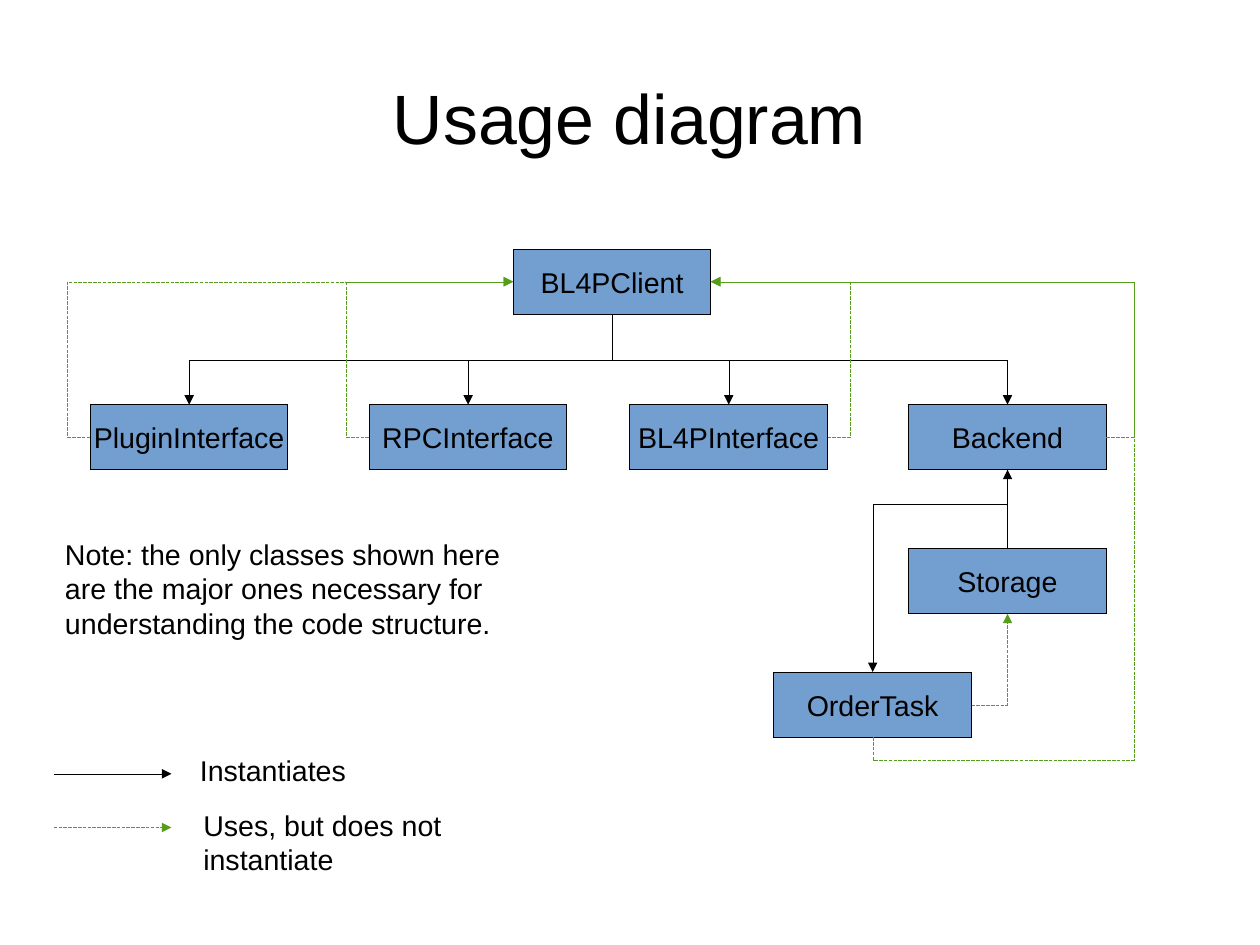
from lxml.etree import SubElement
from pptx import Presentation
from pptx.dml.color import RGBColor
from pptx.enum.dml import MSO_LINE
from pptx.enum.shapes import MSO_CONNECTOR, MSO_SHAPE
from pptx.enum.text import MSO_ANCHOR, MSO_AUTO_SIZE, PP_ALIGN
from pptx.oxml.ns import qn
from pptx.util import Inches, Pt

PAGE_SIZE = (28 / 2.54, 21 / 2.54)  # 28 by 21 cm
TITLE = "Usage diagram"
NOTE = ("Note: the only classes shown here are the major ones necessary "
        "for understanding the code structure.")
BOX_WIDTH, BOX_HEIGHT = 1.73, 0.57
ROW_TOP = 3.54
CLASSES = {  # name: (left, top)
    "BL4PClient": (4.49, 2.18),
    "PluginInterface": (0.79, ROW_TOP),
    "RPCInterface": (3.23, ROW_TOP),
    "BL4PInterface": (5.51, ROW_TOP),
    "Backend": (7.95, ROW_TOP),
    "OrderTask": (6.77, 5.88),
    "Storage": (7.95, 4.8),
}
BLACK, GREEN, BLUE = "000000", "579D1C", "729FCF"
STYLES = {"instantiates": (BLACK, MSO_LINE.SOLID),
          "uses": (GREEN, MSO_LINE.SQUARE_DOT)}
SIDES = {"left": (0, 0.5), "right": (1, 0.5), "top": (0.5, 0), "bottom": (0.5, 1)}
TRUNK_Y, RIGHT_RAIL = 3.15, 9.92
# style, from class, side, to class, side, positions of the middle segments
ARROWS = [
    ("instantiates", "BL4PClient", "bottom", "PluginInterface", "top", [TRUNK_Y]),
    ("instantiates", "BL4PClient", "bottom", "RPCInterface", "top", [TRUNK_Y]),
    ("instantiates", "BL4PClient", "bottom", "BL4PInterface", "top", [TRUNK_Y]),
    ("instantiates", "BL4PClient", "bottom", "Backend", "top", [TRUNK_Y]),
    ("instantiates", "Storage", "top", "Backend", "bottom", []),
    ("instantiates", "Backend", "bottom", "OrderTask", "top", [4.41]),
    ("uses", "PluginInterface", "left", "BL4PClient", "left", [0.59]),
    ("uses", "RPCInterface", "left", "BL4PClient", "left", [3.03]),
    ("uses", "BL4PInterface", "right", "BL4PClient", "right", [7.44]),
    ("uses", "Backend", "right", "BL4PClient", "right", [RIGHT_RAIL]),
    ("uses", "OrderTask", "bottom", "BL4PClient", "right", [6.65, RIGHT_RAIL]),
    ("uses", "OrderTask", "right", "Storage", "bottom", []),
]
LEGEND = [  # style, arrow height, label, label box
    ("instantiates", 6.77, "Instantiates", (1.65, 6.54, 1.48, 0.38)),
    ("uses", 7.24, "Uses, but does not instantiate", (1.68, 7.02, 3.49, 0.38)),
]


def color(value):
    return RGBColor.from_string(value)


def write(shape, text, size=18, align=PP_ALIGN.LEFT, **frame_format):
    frame = shape.text_frame
    for name, value in frame_format.items():
        setattr(frame, name, value)
    para = frame.paragraphs[0]
    para.alignment = align
    span = para.add_run()
    span.text = text
    for name, value in {"name": "Arial", "size": Pt(size), "bold": False}.items():
        setattr(span.font, name, value)
    span.font.color.rgb = color(BLACK)


def add_label(page, area, text, wrap):
    box = page.shapes.add_textbox(*map(Inches, area))
    write(box, text, word_wrap=wrap, vertical_anchor=MSO_ANCHOR.TOP,
          auto_size=MSO_AUTO_SIZE.SHAPE_TO_FIT_TEXT)


def draw_hairline(shape, stroke):
    """Give a line zero width in XML, as the width property drops a zero."""
    shape.line.color.rgb = color(stroke)
    outline = shape.element.spPr.find(qn("a:ln"))
    outline.set("w", "0")
    return outline


def add_class(page, name, corner):
    box = page.shapes.add_shape(
        MSO_SHAPE.RECTANGLE, *map(Inches, (*corner, BOX_WIDTH, BOX_HEIGHT)))
    box.shadow.inherit = False
    box.fill.solid()
    box.fill.fore_color.rgb = color(BLUE)
    draw_hairline(box, BLACK)
    write(box, name, align=PP_ALIGN.CENTER, word_wrap=False,
          vertical_anchor=MSO_ANCHOR.MIDDLE)


def port(name, side):
    """Return the middle of one side of a class box."""
    (left, top), (across, down) = CLASSES[name], SIDES[side]
    return left + across * BOX_WIDTH, top + down * BOX_HEIGHT


def add_arrow(page, style, kind, start, end):
    arrow = page.shapes.add_connector(kind, *map(Inches, (*start, *end)))
    stroke, dash = STYLES[style]
    outline = draw_hairline(arrow, stroke)
    arrow.line.dash_style = dash
    SubElement(outline, qn("a:tailEnd"), type="triangle")
    SubElement(arrow.element.spPr, qn("a:effectLst"))
    return arrow


def add_bent_arrow(page, style, start, end, bends, vertical):
    """Add an elbow arrow; a vertical start needs a quarter turn of its frame."""
    begin, finish, turn = start, end, 0
    if vertical:
        center_x, center_y = ((a + b) / 2 for a, b in zip(start, end))
        turn = 90 if end[0] < start[0] and end[1] > start[1] else 270
        sign = 1 if turn == 90 else -1
        begin, finish = ((center_x + sign * (y - center_y),
                          center_y - sign * (x - center_x)) for x, y in (start, end))
    arrow = add_arrow(page, style, MSO_CONNECTOR.ELBOW, begin, finish)
    properties = arrow.element.spPr
    if turn:
        properties.find(qn("a:xfrm")).set("rot", str(turn * 60000))
    geometry = properties.find(qn("a:prstGeom"))
    geometry.set("prst", f"bentConnector{2 + len(bends)}")
    guides = geometry.find(qn("a:avLst"))
    for index, bend in enumerate(bends):
        axis = (index + vertical) % 2
        ratio = (bend - start[axis]) / (end[axis] - start[axis])
        SubElement(guides, qn("a:gd"), name=f"adj{index + 1}",
                   fmla=f"val {round(ratio * 100000)}")


def main():
    deck = Presentation()
    deck.slide_width, deck.slide_height = map(Inches, PAGE_SIZE)
    page = deck.slides.add_slide(deck.slide_layouts[5])

    title = page.shapes.title
    title.left, title.top, title.width, title.height = map(
        Inches, (0.55, 0.33, 9.92, 1.38))
    write(title, TITLE, 44, PP_ALIGN.CENTER, vertical_anchor=MSO_ANCHOR.MIDDLE,
          margin_left=0, margin_right=0, margin_top=0, margin_bottom=0)

    for name, corner in CLASSES.items():
        add_class(page, name, corner)
    for style, source, source_side, target, target_side, bends in ARROWS:
        start, end = port(source, source_side), port(target, target_side)
        if start[0] == end[0]:
            add_arrow(page, style, MSO_CONNECTOR.STRAIGHT, start, end)
        else:
            add_bent_arrow(page, style, start, end, bends,
                           source_side in ("top", "bottom"))
    for style, height, label, area in LEGEND:
        add_arrow(page, style, MSO_CONNECTOR.STRAIGHT, (0.47, height), (1.5, height))
        add_label(page, area, label, wrap=False)
    add_label(page, (0.47, 4.65, 4.25, 1.5), NOTE, wrap=True)

    deck.save("out.pptx")


if __name__ == "__main__":
    main()
